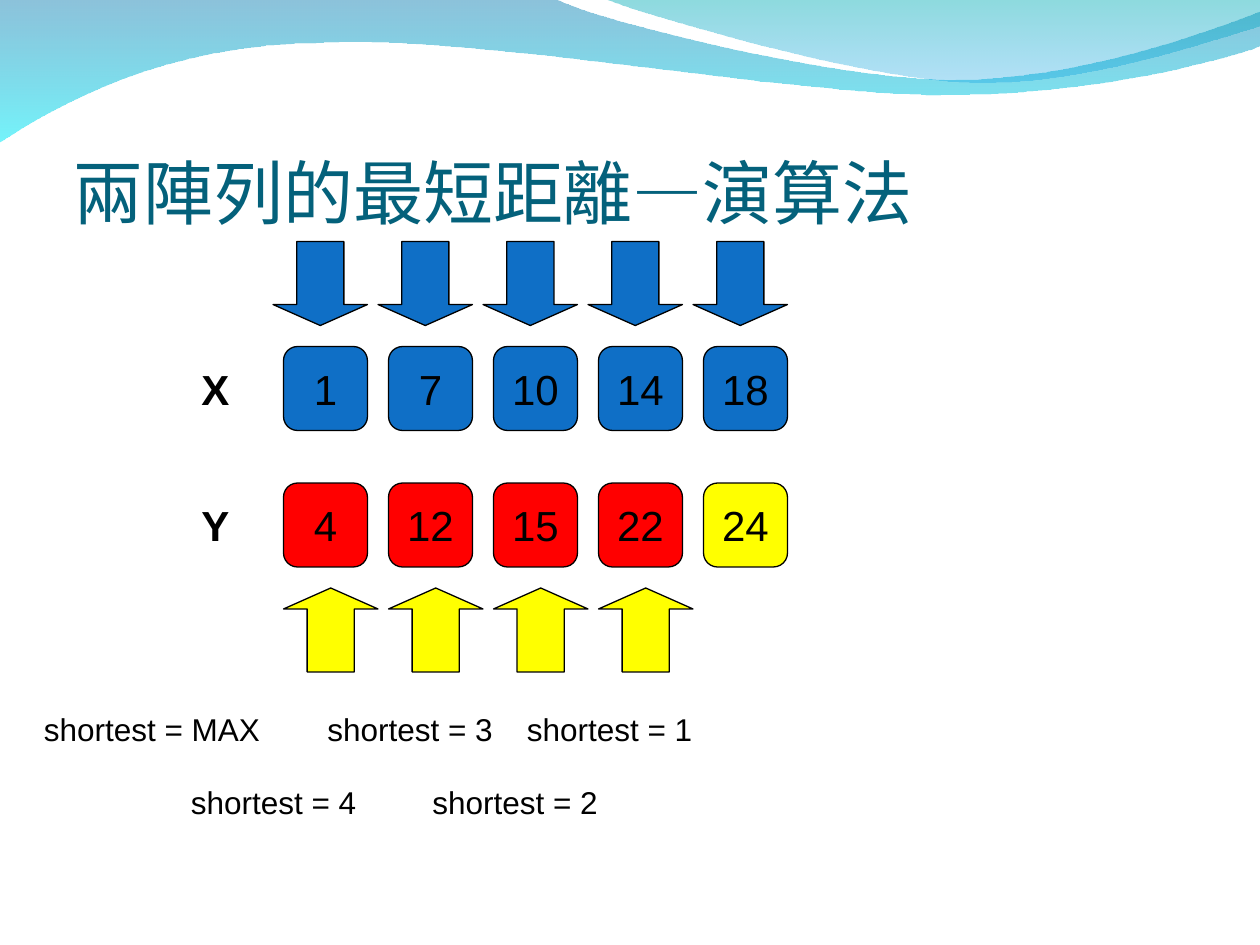
from lxml import etree
from pptx import Presentation
from pptx import util as u
from pptx.dml.color import RGBColor
from pptx.enum import shapes, text
from pptx.oxml.ns import qn

TITLE = "兩陣列的最短距離—演算法"
COLORS = {"blue": "0F6FC6", "red": "FF0000", "yellow": "FFFF00",
          "black": "000000", "title": "04617B"}

# Lengths on the grid are in cells of 1/12 inch.
CELL = 1 / 12
LEFT, PITCH, BOX = 27, 10, 8
ROWS = [
    {"name": "X", "top": 33, "values": [1, 7, 10, 14, 18], "fills": ["blue"] * 5},
    {"name": "Y", "top": 46, "values": [4, 12, 15, 22, 24],
     "fills": ["red"] * 4 + ["yellow"]},
]
# left, top, count, turn, fill
ARROWS = [(26, 23, 5, 180, "blue"), (27, 56, 4, 0, "yellow")]
# left, top, width, words
STEPS = [
    (3, 67, 24, "shortest = MAX"),
    (17, 74, 20, "shortest = 4"),
    (30, 67, 20, "shortest = 3"),
    (40, 74, 20, "shortest = 2"),
    (49, 67, 20, "shortest = 1"),
]
# Each wave: start, then lines (one point) and curves (three points), in inches;
# stops are (colour, opacity in percent) from top to bottom.
WAVES = [
    {"start": (0, -0.01),
     "parts": [[(4.4, -0.01)],
               [(4.76, 0.17), (6.64, 0.63), (7.58, 0.63)],
               [(8.53, 0.63), (9.58, 0.26), (10, 0.09)],
               [(10.01, 0.36)],
               [(9.83, 0.44), (8.7, 0.76), (7.46, 0.75)],
               [(6.22, 0.75), (3.82, 0.28), (2.57, 0.34)],
               [(1.29, 0.35), (0.46, 0.83), (-0.01, 1.13)]],
     "stops": [("0079AF", 45), ("00EBF8", 55)]},
    {"start": (4.79, -0.01),
     "parts": [[(5.09, 0.11), (6.82, 0.62), (7.69, 0.65)],
               [(8.56, 0.69), (9.61, 0.32), (10, 0.21)],
               [(10, 0)]],
     "stops": [("00ADB6", 45), ("009BE5", 30)]},
]


def place(left, top, width, height):
    return [u.Inches(n * CELL) for n in (left, top, width, height)]


def bend(shape, parts):
    """Turn each run of three line segments that forms a curve into a Bezier."""
    lines = list(shape._element.iter(qn("a:lnTo")))
    for part in parts:
        group, lines = lines[:len(part)], lines[len(part):]
        if len(part) == 3:
            curve = etree.Element(qn("a:cubicBezTo"))
            group[0].addprevious(curve)
            for line in group:
                curve.append(line[0])
                line.getparent().remove(line)


def add_wave(slide, start, parts, stops):
    first, *rest = [(u.Inches(x), u.Inches(y))
                    for x, y in [start] + sum(parts, [])]
    outline = slide.shapes.build_freeform(*first)
    outline.add_line_segments(rest, close=True)
    wave = outline.convert_to_shape()
    bend(wave, parts)
    wave.shadow.inherit = False
    wave.line.fill.background()
    wave.fill.gradient()
    wave.fill.gradient_angle = 270
    for stop, (color, _) in zip(wave.fill.gradient_stops, stops):
        stop.color.rgb = RGBColor.from_string(color)
    marks = wave._element.spPr.iter(qn("a:srgbClr"))
    for mark, (_, share) in zip(marks, stops):
        etree.SubElement(mark, qn("a:alpha")).set("val", str(share * 1000))


def style(frame, words, size, color="black", font="Arial", bold=False):
    frame.text = words
    run = frame.paragraphs[0].runs[0]
    run.font.size = u.Pt(size)
    run.font.name = font
    run.font.bold = bold
    run.font.color.rgb = RGBColor.from_string(COLORS[color])
    return run


def add_shape(slide, kind, box, fill):
    shape = slide.shapes.add_shape(kind, *place(*box))
    shape.shadow.inherit = False
    shape.fill.solid()
    shape.fill.fore_color.rgb = RGBColor.from_string(COLORS[fill])
    shape.line.color.rgb = RGBColor.from_string(COLORS["black"])
    shape.line.width = u.Pt(0.75)
    return shape


def add_label(slide, box, words, size, space, bold=False):
    frame = slide.shapes.add_textbox(*place(*box)).text_frame
    frame.word_wrap = True
    frame.auto_size = text.MSO_AUTO_SIZE.SHAPE_TO_FIT_TEXT
    style(frame, words, size, bold=bold)
    frame.paragraphs[0].space_before = u.Pt(space)


def add_title(slide):
    title = slide.shapes.title
    title.left, title.top, title.width, title.height = place(7, 7.2, 108, 15)
    frame = title.text_frame
    frame.auto_size = text.MSO_AUTO_SIZE.NONE
    frame.vertical_anchor = text.MSO_ANCHOR.BOTTOM
    frame.margin_left = frame.margin_right = frame.margin_bottom = 0
    frame.margin_top = u.Inches(0.05)
    font = "Noto Sans CJK SC"
    run = style(frame, TITLE, 40, "title", font)
    frame.paragraphs[0].alignment = text.PP_ALIGN.LEFT
    east = etree.SubElement(run.font._element, qn("a:ea"))
    east.set("typeface", font)


def add_row(slide, name, top, values, fills):
    add_label(slide, (18, top + 1, 7, 6), name, 24, 15, bold=True)
    for i, (value, fill) in enumerate(zip(values, fills)):
        box = (LEFT + i * PITCH, top, BOX, BOX)
        shape = add_shape(slide, shapes.MSO_SHAPE.ROUNDED_RECTANGLE, box, fill)
        frame = shape.text_frame
        frame.word_wrap = False
        frame.vertical_anchor = text.MSO_ANCHOR.MIDDLE
        style(frame, str(value), 24)
        frame.paragraphs[0].alignment = text.PP_ALIGN.CENTER


def main():
    deck = Presentation()
    deck.slide_width, deck.slide_height = u.Inches(10), u.Inches(7.5)
    slide = deck.slides.add_slide(deck.slide_layouts.get_by_name("Title Only"))
    for wave in WAVES:
        add_wave(slide, **wave)
    add_title(slide)
    for row in ROWS:
        add_row(slide, **row)
    for left, top, count, turn, fill in ARROWS:
        for i in range(count):
            box = (left + i * PITCH, top, 9, 8)
            arrow = add_shape(slide, shapes.MSO_SHAPE.UP_ARROW, box, fill)
            arrow.adjustments[0], arrow.adjustments[1] = 0.5, 0.25
            arrow.rotation = turn
    for left, top, width, words in STEPS:
        add_label(slide, (left, top, width, 4.8), words, 18, 11.2)
    deck.save("out.pptx")


if __name__ == "__main__":
    main()
